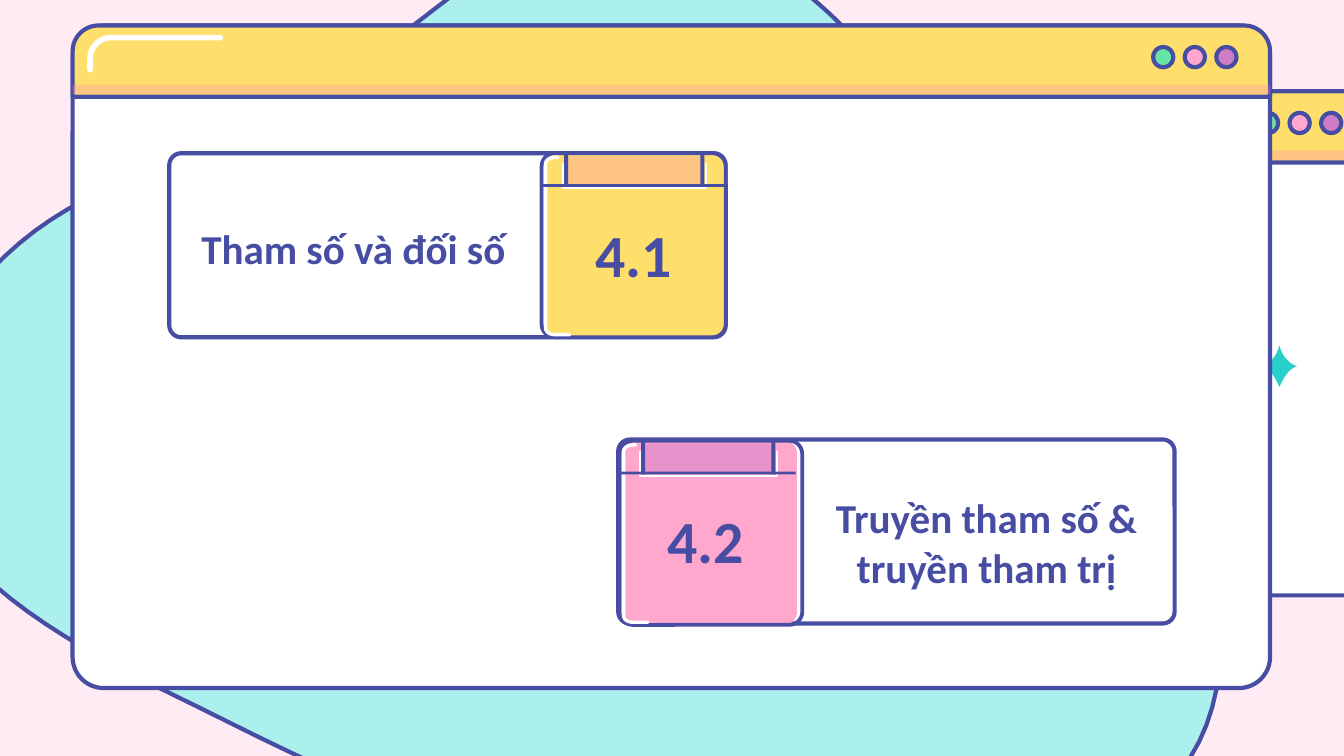
from pptx import Presentation, util as u
from pptx.dml.color import RGBColor
from pptx.enum import shapes, text
from pptx.oxml.ns import qn
from lxml import etree

NAVY = RGBColor(0x47, 0x4D, 0xA2)
WHITE = RGBColor(0xFF, 0xFF, 0xFF)
BLUSH = RGBColor(0xFF, 0xEB, 0xF3)
AQUA = RGBColor(0xAC, 0xF0, 0xED)
TEAL = RGBColor(0x29, 0xCF, 0xCB)
GOLD = RGBColor(0xFF, 0xDF, 0x6B)
ROSE = RGBColor(0xFF, 0x89, 0xBC)
GREEN = RGBColor(0x68, 0xE4, 0xA5)
PINK = RGBColor(0xFF, 0xA7, 0xCD)
PLUM = RGBColor(0xCF, 0x7C, 0xC7)
KIND = shapes.MSO_SHAPE
FONT = "Calibri"


def paint(shape, fill=None, line=None, width=2.25, alpha=None):
    """Set fill, outline and transparency; drop the shadow."""
    shape.shadow.inherit = False
    if fill is None:
        shape.fill.background()
    else:
        shape.fill.solid()
        shape.fill.fore_color.rgb = fill
    if alpha is not None:
        tone = shape.fill._xPr.find(".//" + qn("a:srgbClr"))
        etree.SubElement(tone, qn("a:alpha")).set("val", str(alpha * 1000))
    if line is None:
        shape.line.fill.background()
    else:
        shape.line.color.rgb = line
        shape.line.width = u.Pt(width)
    return shape


def block(slide, kind, box, adj=(), **look):
    shape = slide.shapes.add_shape(kind, *map(u.Inches, box))
    for i, value in enumerate(adj):
        shape.adjustments[i] = value
    return paint(shape, **look)


def trace(slide, start, parts, closed=True, **look):
    """Draw an outline; a part is a point (2 values) or a Bezier curve (6)."""
    points, (x, y) = [], start
    for part in parts:
        if len(part) == 6:
            a, b, c, d, e, f = part
            for i in range(1, 16):
                t = i / 16
                s = 1 - t
                points.append(tuple(
                    s**3 * p + 3 * s * s * t * q + 3 * s * t * t * r + t**3 * z
                    for p, q, r, z in ((x, a, c, e), (y, b, d, f))))
        x, y = part[-2:]
        points.append((x, y))
    pen = slide.shapes.build_freeform(*map(u.Inches, start))
    pen.add_line_segments([tuple(map(u.Inches, p)) for p in points], close=closed)
    shape = paint(pen.convert_to_shape(), **look)
    if not closed:
        shape.line._get_or_add_ln().set("cap", "rnd")
    return shape


def label(slide, box, words, size, wrap=False):
    frame = slide.shapes.add_textbox(*map(u.Inches, box)).text_frame
    frame.word_wrap = wrap
    para = frame.paragraphs[0]
    if wrap:
        frame.vertical_anchor = text.MSO_ANCHOR.BOTTOM
        frame.margin_top = frame.margin_bottom = u.Inches(0.1)
        para.alignment = text.PP_ALIGN.CENTER
    run = para.add_run()
    run.text = words
    style = {"name": FONT, "size": u.Pt(size), "bold": True}
    for key, value in style.items():
        setattr(run.font, key, value)
    run.font.color.rgb = NAVY


def backdrop(slide):
    slide.background.fill.solid()
    slide.background.fill.fore_color.rgb = BLUSH
    # Aqua blob
    trace(slide, (4.46, -0.58), [
        (4.77, -0.58, 5.11, -0.48, 5.46, -0.35),
        (5.88, -0.19, 6.3, 0.01, 7, 0.36),
        (7.7, 0.7, 8.66, 1.17, 8.96, 1.83),
        (9.28, 2.48, 8.93, 3.31, 8.33, 3.81),
        (7.73, 4.32, 6.86, 4.49, 6.14, 4.91),
        (5.42, 5.33, 4.84, 6, 4.17, 6.16),
        (4.06, 6.18, 3.95, 6.2, 3.84, 6.2),
        (3.26, 6.2, 2.65, 5.88, 2.21, 5.43),
        (1.69, 4.89, 1.41, 4.18, 0.93, 3.51),
        (0.44, 2.86, -0.24, 2.25, -0.5, 1.5),
        (-0.75, 0.75, -0.58, -0.15, 0.12, -0.44),
        (0.34, -0.54, 0.62, -0.57, 0.92, -0.57),
        (1.55, -0.57, 2.27, -0.42, 2.8, -0.39),
        (3.65, -0.35, 3.96, -0.53, 4.29, -0.57),
        (4.34, -0.58, 4.4, -0.58, 4.46, -0.58),
    ], fill=AQUA, line=NAVY).rotation = 180


def star(slide, box):
    x, y, w, h = box
    mid, level = x + w / 2, y + h / 2
    trace(slide, (mid, y), [
        (mid - 0.02, y + 0.08, mid - 0.07, level - 0.02, x, level),
        (mid - 0.07, level + 0.02, mid - 0.03, y + h - 0.07, mid, y + h),
        (mid + 0.03, y + h - 0.07, mid + 0.07, level + 0.02, x + w, level),
        (mid + 0.07, level - 0.02, mid + 0.02, y + 0.08, mid, y),
    ], fill=TEAL)


def window(slide, box, bend):
    x, y, w, h = box
    block(slide, KIND.ROUNDED_RECTANGLE, box, (0.047,), fill=WHITE, line=NAVY)
    block(slide, KIND.ROUND_2_SAME_RECTANGLE, (x, y, w, 0.53), (bend, 0),
          fill=GOLD, line=NAVY)
    block(slide, KIND.RECTANGLE, (x, y + 0.44, w, 0.07), fill=ROSE, alpha=30)
    # Three buttons
    for i, tone in enumerate((GREEN, PINK, PLUM)):
        left = x + w - 0.87 + i * 0.235
        block(slide, KIND.OVAL, (left, y + 0.16, 0.15, 0.15),
              fill=tone, line=NAVY)


def gleam(slide, x, y):
    trace(slide, (x, y + 0.24), [
        (x, y + 0.16), (x, y + 0.07, x + 0.07, y, x + 0.16, y), (x + 0.97, y),
    ], closed=False, line=WHITE, width=3)


def card(slide, box, inset, body, fill, tint, alpha):
    """Numbered tile; body is the width of its coloured part."""
    x, y, w, h = box
    block(slide, KIND.ROUNDED_RECTANGLE, (x + inset, y, body, h), (0.071,),
          fill=fill)
    block(slide, KIND.ROUNDED_RECTANGLE, box, (0.071,), line=NAVY, width=2)
    # Tab
    left, wide = x + 0.13 * body, 0.74 * body
    right, seam = left + wide, y + 0.24
    block(slide, KIND.RECTANGLE, (left, y + 0.02, wide, 0.22),
          fill=tint, alpha=alpha)
    # White highlights
    top, edge, foot = y + 0.03, x + 0.03, y + h - 0.02
    trace(slide, (x + 0.12, top), [
        (x + 0.06, top, edge, y + 0.05, edge, y + 0.08),
        (edge, foot - 0.05),
        (edge, foot - 0.02, x + 0.06, foot, x + 0.1, foot),
        (x + 0.21, foot),
    ], closed=False, line=WHITE, width=1.8)
    near, far, base = left - 0.02, right + 0.03, y + 0.26
    trace(slide, (near, y + 0.08),
          [(near, base), (far, base), (far, y + 0.08)],
          closed=False, line=WHITE, width=1.3)
    # Seams
    for part in ((x, seam - 0.01, body, 0.02),
                 (left - 0.01, y + 0.01, 0.03, 0.24),
                 (right - 0.01, y + 0.01, 0.03, 0.24)):
        block(slide, KIND.RECTANGLE, part, fill=NAVY)


def main():
    deck = Presentation()
    deck.slide_width, deck.slide_height = u.Inches(10), u.Inches(5.625)
    slide = deck.slides.add_slide(deck.slide_layouts[6])

    backdrop(slide)
    window(slide, (0.9, 0.68, 9.33, 3.75), 0.294)
    star(slide, (9.39, 2.57, 0.26, 0.31))
    window(slide, (0.54, 0.19, 8.91, 4.93), 0.363)
    gleam(slide, 0.67, 0.28)

    # Section panels
    for spot in ((4.6, 3.27), (1.26, 1.14)):
        block(slide, KIND.ROUNDED_RECTANGLE, (*spot, 4.14, 1.37), (0.065,),
              line=NAVY)
    card(slide, (4.61, 3.28, 1.36, 1.37), 0.01, 1.31, PINK, PLUM, 49)
    card(slide, (4.03, 1.14, 1.37, 1.37), 0, 1.37, GOLD, ROSE, 30)

    label(slide, (1.27, 1.64, 2.72, 0.49), "Tham số và đối số", 22, True)
    label(slide, (4.33, 1.57, 0.77, 0.64), "4.1", 32)
    label(slide, (4.87, 3.7, 0.86, 0.64), "4.2", 32)
    label(slide, (5.98, 4.01, 2.72, 0.49),
          "Truyền tham số & truyền tham trị", 22, True)
    deck.save("out.pptx")


if __name__ == "__main__":
    main()
